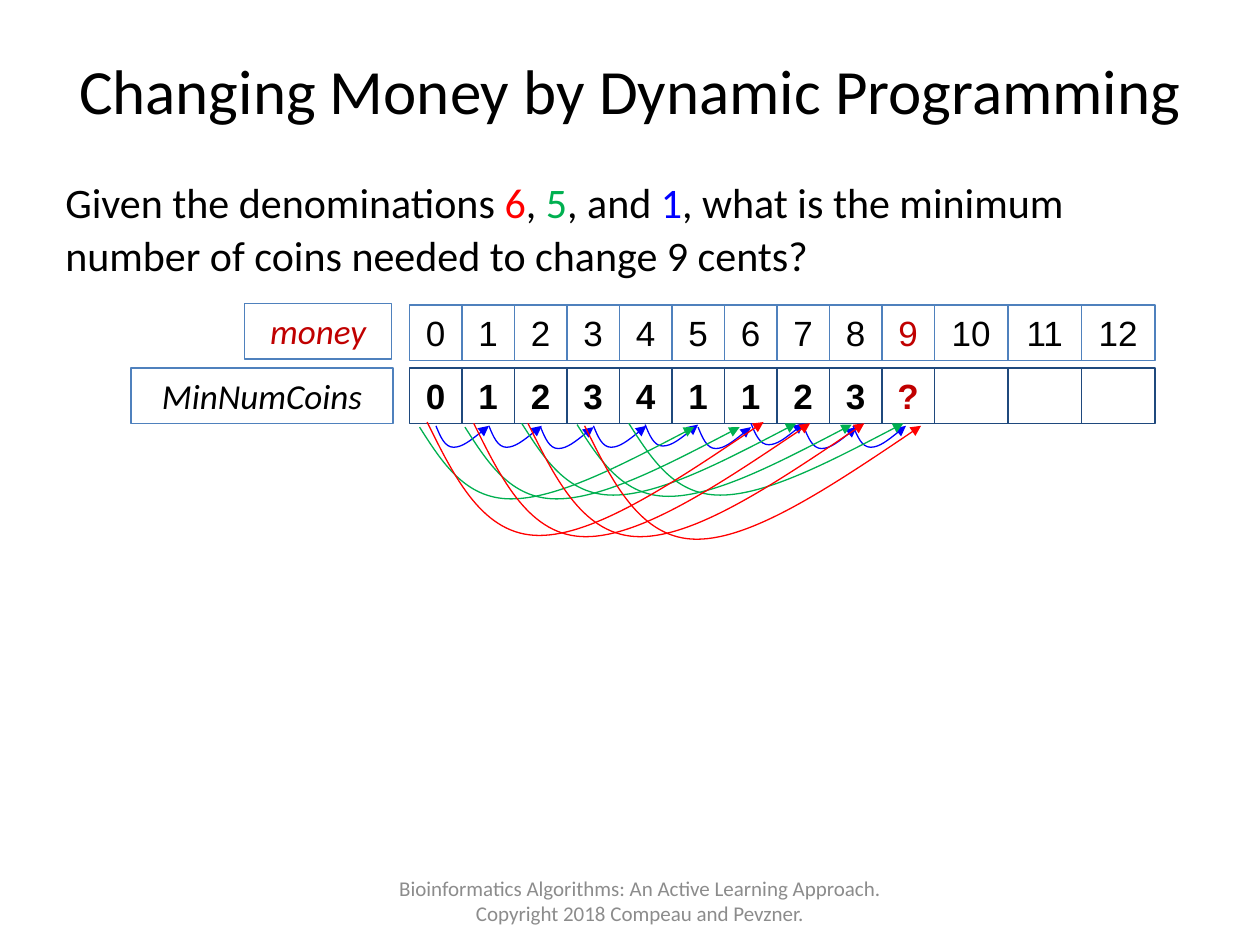
from pptx import Presentation
from pptx.dml.color import RGBColor
from pptx.enum.shapes import MSO_SHAPE
from pptx.enum.text import MSO_ANCHOR, MSO_AUTO_SIZE, PP_ALIGN
from pptx.oxml.ns import qn
from pptx.util import Inches, Pt
from lxml.etree import SubElement

# Content
TITLE = "Changing Money by Dynamic Programming"
QUESTION = [("Given the denominations ", "black"), ("6", "red"), (", ", "black"),
            ("5", "green"), (", and ", "black"), ("1", "blue"),
            (", what is the minimum number of coins needed to change 9 cents?", "black")]
FOOTER = ("Bioinformatics Algorithms: An Active Learning Approach. "
          "Copyright 2018 Compeau and Pevzner.")
MONEY = [str(n) for n in range(13)]
COINS = ["0", "1", "2", "3", "4", "1", "1", "2", "3", "?", "", "", ""]
TARGET = 9
LABELS = [("money", "dark_red", 1.94, 2.41, 1.17),
          ("MinNumCoins", "black", 1.04, 2.92, 2.08)]

# Arrows per coin: colour, width, depth, (left, top) of each curve
ARROWS = [
    ("blue", 0.42, 0.17, [(3.46, 3.38), (3.88, 3.38), (4.29, 3.39), (4.71, 3.38), (5.12, 3.37),
                          (5.54, 3.39), (5.96, 3.36), (6.38, 3.39), (6.77, 3.38)]),
    ("green", 2.18, 0.57, [(3.33, 3.39), (3.69, 3.39), (4.14, 3.36), (4.58, 3.37), (4.99, 3.36)]),
    ("red", 2.67, 0.9, [(3.39, 3.35), (3.76, 3.36), (4.19, 3.36), (4.64, 3.38)]),
]
# Curve from right end to left end, as fractions of width and depth
CURVE_START = (1, 0)
CURVE = [[(3 / 4, 1 / 2), (1 / 2, 1), (1 / 3, 1)],
         [(1 / 6, 1), (1 / 12, 1 / 2), (0, 0)]]

THEME = {
    "colors": {"black": "000000", "red": "FF0000", "green": "00B050", "blue": "0000FF",
               "dark_red": "C00000", "gray": "8C8C8C", "light_line": "4F81BD",
               "dark_line": "1F497D"},
    "sizes": {"title": 36, "body": 24, "cell": 20, "footer": 12},
    "text_font": "Calibri", "cell_font": "Arial", "line": 0.75,
}

# Grid
GRID_LEFT, CELL_H = 3.25, 0.44
NARROW, WIDE = 5 / 12, 7 / 12
ROWS = [(MONEY, 2.42, "light_line", False), (COINS, 2.92, "dark_line", True)]


def color(name):
    return RGBColor.from_string(THEME["colors"][name])


def write(tf, runs, size, font=THEME["text_font"], align=PP_ALIGN.CENTER, bold=False, italic=False):
    tf.word_wrap = True
    p = tf.paragraphs[0]
    p.alignment = align
    for text, name in runs:
        r = p.add_run()
        r.text = text
        r.font.name, r.font.size = font, Pt(THEME["sizes"][size])
        r.font.bold, r.font.italic = bold, italic
        r.font.color.rgb = color(name)
    return p


def add_text(s, at, runs, size, anchor=MSO_ANCHOR.MIDDLE, align=PP_ALIGN.CENTER):
    tf = s.shapes.add_textbox(*map(Inches, at)).text_frame
    tf.vertical_anchor = anchor
    return write(tf, runs, size, align=align)


def outline(sp, name):
    sp.shadow.inherit = False
    sp.fill.background()
    sp.line.color.rgb = color(name)
    sp.line.width = Pt(THEME["line"])


def add_box(s, x, y, w, line, text, name, **style):
    sp = s.shapes.add_shape(MSO_SHAPE.RECTANGLE, *map(Inches, (x, y, w, CELL_H)))
    outline(sp, line)
    if text:
        tf = sp.text_frame
        tf.vertical_anchor = MSO_ANCHOR.TOP
        write(tf, [(text, name)], "cell", **style)
        tf.auto_size = MSO_AUTO_SIZE.SHAPE_TO_FIT_TEXT


def add_arrow(s, x, y, w, depth, name):
    def point(fx, fy):
        return Inches(x + fx * w), Inches(y + fy * depth)

    fb = s.shapes.build_freeform(*point(*CURVE_START))
    fb.add_line_segments([point(*seg[-1]) for seg in CURVE], close=False)
    sp = fb.convert_to_shape()
    outline(sp, name)
    # Turn each straight segment into a cubic curve
    for ln, seg in zip(list(sp._element.iter(qn("a:lnTo"))), CURVE):
        ln.tag = qn("a:cubicBezTo")
        ln.remove(ln[0])
        for fx, fy in seg:
            SubElement(ln, qn("a:pt"), x=str(int(Inches(fx * w))), y=str(int(Inches(fy * depth))))
    SubElement(sp.line._get_or_add_ln(), qn("a:headEnd"), type="triangle")


def main():
    prs = Presentation()
    prs.slide_width, prs.slide_height = Inches(10), Inches(7.5)
    s = prs.slides.add_slide(prs.slide_layouts[6])

    # Title and question
    add_text(s, (0.5, 0.08, 9, 1.25), [(TITLE, "black")], "title")
    p = add_text(s, (0.42, 1.33, 9, 4.5), QUESTION, "body", MSO_ANCHOR.TOP, PP_ALIGN.LEFT)
    p.line_spacing = 1.05
    p.space_before = Pt(4.8)

    # Row labels and cells
    for text, name, x, y, w in LABELS:
        add_box(s, x, y, w, "light_line", text, name, italic=True)
    for values, y, line, bold in ROWS:
        x = GRID_LEFT
        for i, text in enumerate(values):
            w = NARROW if i <= TARGET else WIDE
            name = "dark_red" if i == TARGET else "black"
            add_box(s, x, y, w, line, text, name, font=THEME["cell_font"], bold=bold)
            x += w

    # Arrows between coin counts
    for name, w, depth, places in ARROWS:
        for x, y in places:
            add_arrow(s, x, y, w, depth, name)

    # Footer
    add_text(s, (2.83, 6.95, 4.5, 0.4), [(FOOTER, "gray")], "footer")
    prs.save("out.pptx")


if __name__ == "__main__":
    main()
